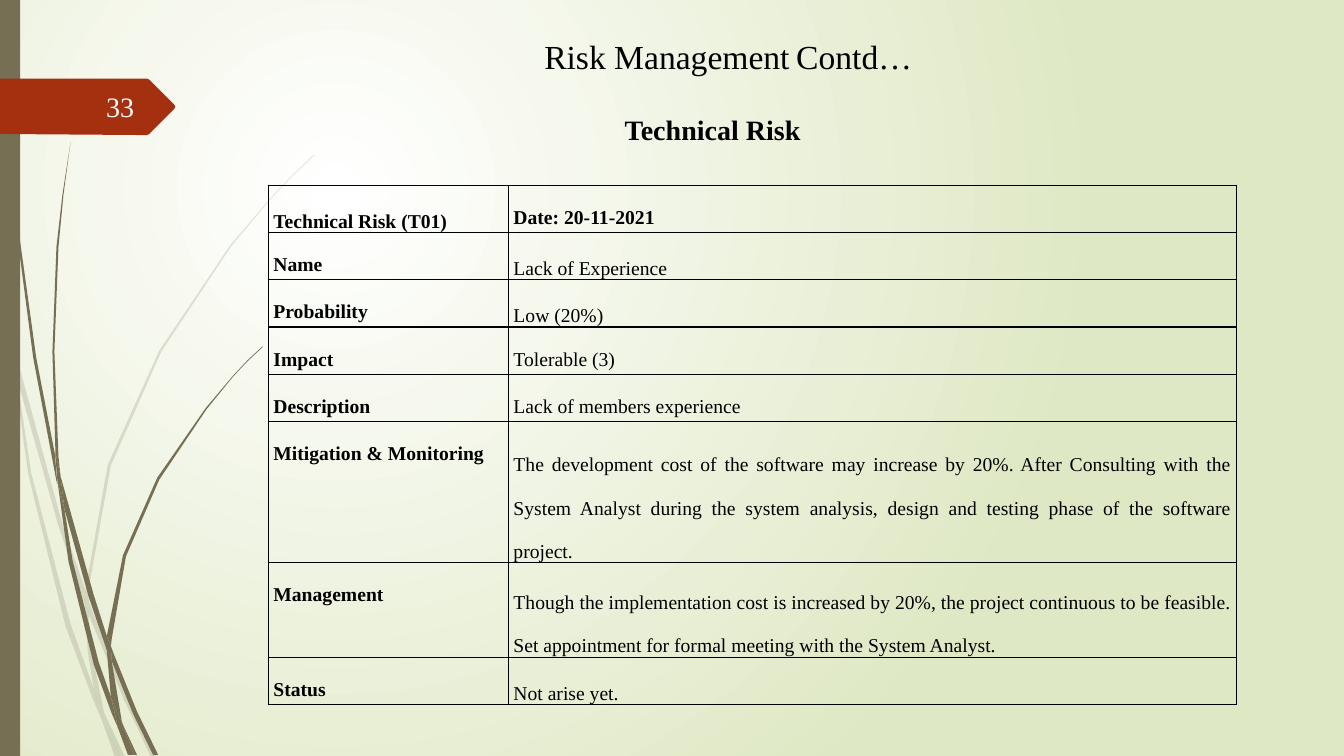
from lxml import etree
from pptx import Presentation
from pptx.dml.color import RGBColor
from pptx.enum import shapes, text
from pptx.oxml.ns import qn
from pptx.util import Cm, Pt

FONT = "Times New Roman"
BLACK, OLIVE, RUST = "000000", "766F54", "A53010"
GLOW = ("FFFFFF", "DFE8C4")
GRID = Cm(2.54) / 100  # outline points are hundredths of an inch

# wording, box in cm, alignment, size, bold, colour
HEADINGS = [
    ("33", (1.47, 2.18, 2.16, 1.02), "RIGHT", 20, False, "FEFFFF"),
    ("Risk Management\tContd…", (10.77, 0.79, 15.16, 1.27), "CENTER", 24, False, BLACK),
    ("Technical Risk", (10.77, 2.69, 14.38, 1.12), "CENTER", 20, True, BLACK),
]

# label, detail, row height in cm, columns that sit on the bottom edge
RISK_ROWS = [
    ("Technical Risk (T01)", "Date: 20-11-2021", 1.19, {0}),
    ("Name", "Lack of Experience", 1.19, {1}),
    ("Probability", "Low (20%)", 1.19, {1}),
    ("Impact", "Tolerable (3)", 1.19, set()),
    ("Description", "Lack of members experience", 1.19, set()),
    ("Mitigation & Monitoring",
     "The development cost of the software may increase by 20%. After Consulting with the "
     "System Analyst during the system analysis, design and testing phase of the software "
     "project.", 3.56, {1}),
    ("Management",
     "Though the implementation cost is increased by 20%, the project continuous to be "
     "feasible. Set appointment for formal meeting with the System Analyst.", 2.38, {1}),
    ("Status", "Not arise yet.", 1.19, {1}),
]
TABLE_LEFT, TABLE_TOP = 6.76, 4.67
COLUMN_WIDTHS = (6.05, 18.36)

FAINT_GRASS = [
    [(11, 350), (9, 322), (0, 282), (0, 299), (10, 344)],
    [(58, 522), (84, 599), (85, 586), (62, 520), (14, 345), (17, 376)],
    [(92, 607), (88, 596), (88, 610), (123, 694), (150, 751), (155, 751), (127, 692)],
    [(119, 751), (124, 751), (105, 711)],
    [(93, 683), (70, 619), (31, 469), (17, 376), (11, 350), (28, 470), (65, 621),
     (92, 693), (101, 714), (99, 707)],
    [(84, 599), (87, 646), (93, 683), (96, 692), (105, 711), (103, 706), (91, 646),
     (88, 610), (88, 608)],
    [(88, 584), (110, 462), (160, 349), (229, 245), (268, 198), (290, 175), (312, 154),
     (312, 153), (289, 175), (268, 197), (228, 244), (158, 348), (107, 461), (85, 584),
     (85, 586), (88, 596)],
    [(101, 714), (114, 751), (119, 751)],
    [(88, 608), (88, 610), (88, 596), (85, 586), (84, 599)],
    [(96, 692), (93, 683), (99, 707), (101, 714), (119, 751), (105, 711)],
]
DARK_GRASS = [
    [(7, 110), (17, 233), (33, 355), (56, 477), (57, 481), (55, 457), (55, 453),
     (36, 355), (19, 232), (8, 109), (5, 48), (4, 0), (3, 0), (4, 48)],
    [(88, 592), (106, 645), (106, 633), (106, 631), (93, 590), (60, 472), (64, 505)],
    [(113, 649), (110, 641), (111, 656), (132, 708), (152, 749), (157, 749), (136, 706)],
    [(110, 691), (98, 657), (72, 556), (64, 505), (57, 477), (68, 557), (93, 659),
     (111, 708), (117, 722), (116, 717)],
    [(60, 472), (58, 453), (54, 349), (58, 245), (63, 193), (70, 141), (62, 193),
     (56, 245), (52, 349), (55, 449)],
    [(133, 749), (136, 749), (122, 719)],
    [(57, 477), (64, 505), (60, 472), (55, 449), (55, 453)],
    [(111, 633), (125, 552), (158, 476), (205, 406), (231, 374), (245, 359), (261, 344),
     (260, 344), (245, 358), (231, 373), (204, 405), (156, 474), (122, 551), (106, 631),
     (110, 641)],
    [(117, 722), (127, 749), (131, 749)],
    [(106, 645), (110, 691), (116, 706), (122, 719), (121, 716), (111, 656), (109, 651)],
    [(106, 645), (109, 651), (111, 656), (110, 641), (106, 631), (106, 633)],
    [(116, 706), (110, 691), (116, 717), (117, 722), (130, 749), (133, 749), (122, 719)],
]
NUMBER_FLAG = [(0, 78), (146, 78), (148, 79), (173, 104), (174, 106), (173, 108),
               (148, 133), (146, 134), (136, 134), (0, 133)]


def rgb(value):
    return RGBColor.from_string(value)


def paint(shape, colour):
    shape.shadow.inherit = False
    shape.fill.solid()
    shape.fill.fore_color.rgb = rgb(colour)
    shape.line.fill.background()


def add_outline(parent, points, colour, opacity=100):
    builder = parent.build_freeform(*points[0], scale=GRID)
    builder.add_line_segments(points[1:], close=True)
    outline = builder.convert_to_shape()
    paint(outline, colour)
    if opacity < 100:
        tint = outline.element.spPr.find(qn("a:solidFill"))[0]
        etree.SubElement(tint, qn("a:alpha"), val=str(opacity * 1000))


def write(frame, wording, align, size, bold, colour):
    paragraph = frame.paragraphs[0]
    paragraph.alignment = getattr(text.PP_ALIGN, align)
    run = paragraph.add_run()
    run.text = wording
    run.font.name, run.font.size, run.font.bold = FONT, Pt(size), bold
    run.font.color.rgb = rgb(colour)
    return paragraph


def add_glow(slide):
    """Radial background centred a quarter of the way in from the top left."""
    fill = slide.background.fill
    fill.gradient()
    for stop, colour, position in zip(fill.gradient_stops, GLOW, (0, 1)):
        stop.color.rgb = rgb(colour)
        stop.position = position
    gradient = slide.element.find(".//" + qn("a:gradFill"))
    gradient.remove(gradient.find(qn("a:lin")))
    circle = etree.SubElement(gradient, qn("a:path"), path="circle")
    etree.SubElement(circle, qn("a:fillToRect"), l="50000", t="50000", r="100000", b="100000")


def add_borders(cell):
    properties = cell._tc.get_or_add_tcPr()
    for side in ("lnL", "lnR", "lnT", "lnB"):
        line = etree.SubElement(properties, qn("a:" + side), w=str(Pt(1)))
        solid = etree.SubElement(line, qn("a:solidFill"))
        etree.SubElement(solid, qn("a:srgbClr"), val=BLACK)


def add_risk_table(slide):
    heights = [row[2] for row in RISK_ROWS]
    table = slide.shapes.add_table(
        len(RISK_ROWS), len(COLUMN_WIDTHS), Cm(TABLE_LEFT), Cm(TABLE_TOP),
        Cm(sum(COLUMN_WIDTHS)), Cm(sum(heights))).table
    table.first_row = table.horz_banding = False
    for column, width in zip(table.columns, COLUMN_WIDTHS):
        column.width = Cm(width)
    for r, (label, detail, height, low_columns) in enumerate(RISK_ROWS):
        table.rows[r].height = Cm(height)
        for c, wording in enumerate((label, detail)):
            cell = table.cell(r, c)
            add_borders(cell)
            cell.fill.background()
            cell.margin_left = cell.margin_right = Cm(0.13)
            cell.margin_top = cell.margin_bottom = 0
            cell.vertical_anchor = (text.MSO_ANCHOR.BOTTOM if c in low_columns
                                    else text.MSO_ANCHOR.TOP)
            bold = r == 0 or c == 0
            write(cell.text_frame, wording, "JUSTIFY", 14, bold, BLACK).line_spacing = 2.0


def main():
    deck = Presentation()
    deck.slide_width, deck.slide_height = Cm(33.87), Cm(19.05)
    slide = deck.slides.add_slide(deck.slide_layouts[6])
    add_glow(slide)

    for blades, opacity in ((FAINT_GRASS, 20), (DARK_GRASS, 100)):
        tuft = slide.shapes.add_group_shape()
        for blade in blades:
            add_outline(tuft.shapes, blade, OLIVE, opacity)
    side_bar = slide.shapes.add_shape(
        shapes.MSO_SHAPE.RECTANGLE, 0, 0, Cm(0.51), deck.slide_height)
    paint(side_bar, OLIVE)
    add_outline(slide.shapes, NUMBER_FLAG, RUST)

    for wording, box, align, size, bold, colour in HEADINGS:
        frame = slide.shapes.add_textbox(*map(Cm, box)).text_frame
        frame.word_wrap = True
        frame.vertical_anchor = text.MSO_ANCHOR.MIDDLE
        write(frame, wording, align, size, bold, colour)
    add_risk_table(slide)
    deck.save("out.pptx")


if __name__ == "__main__":
    main()
